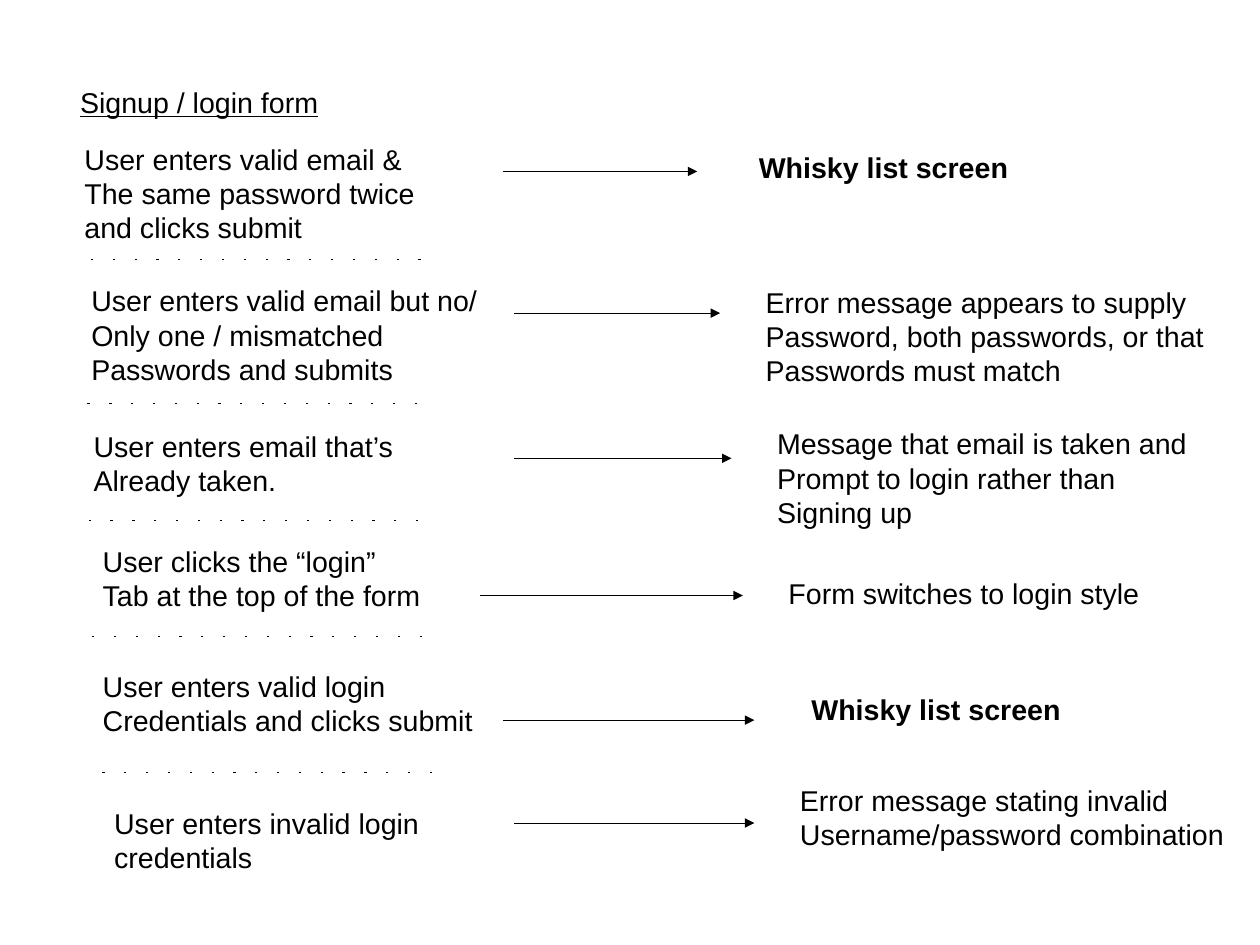
from lxml.etree import SubElement
from pptx import Presentation
from pptx.dml.color import RGBColor
from pptx.enum.shapes import MSO_CONNECTOR
from pptx.enum.text import MSO_ANCHOR, MSO_AUTO_SIZE, PP_ALIGN
from pptx.oxml.ns import qn
from pptx.util import Inches, Pt

COLORS = {"ink": "000000", "paper": "FFFFFF"}
FONT = "Arial"
CM_PER_INCH = 2.54
LINE_HEIGHT = 0.28
DIVIDER_LENGTH = 2.9

STEPS = [
    {"action": (0.64, 1.19, 3.12, ["User enters valid email &", "The same password twice", "and clicks submit"]),
     "arrow": (4.4, 6.1, 1.5),
     "result": (6.54, 1.26, 2.42, ["Whisky list screen"]),
     "bold": True, "divider": (0.8, 2.27)},
    {"action": (0.7, 2.43, 3.61, ["User enters valid email but no/", "Only one / mismatched", "Passwords and submits"]),
     "arrow": (4.5, 6.3, 2.74),
     "result": (6.6, 2.44, 4.07, ["Error message appears to supply", "Password, both passwords, or that",
                                  "Passwords must match"]),
     "divider": (0.77, 3.53)},
    {"action": (0.72, 3.7, 2.92, ["User enters email that’s", "Already taken."]),
     "arrow": (4.5, 6.4, 4.01),
     "result": (6.7, 3.68, 3.82, ["Message that email is taken and", "Prompt to login rather than", "Signing up"]),
     "divider": (0.78, 4.55)},
    {"action": (0.8, 4.71, 3.02, ["User clicks the “login”", "Tab at the top of the form"]),
     "arrow": (4.2, 6.5, 5.21),
     "result": (6.8, 4.99, 3.31, ["Form switches to login style"]),
     "divider": (0.81, 5.57)},
    {"action": (0.8, 5.8, 3.48, ["User enters valid login", "Credentials and clicks submit"]),
     "arrow": (4.4, 6.6, 6.3),
     "result": (7, 6, 2.42, ["Whisky list screen"]),
     "bold": True, "divider": (0.9, 6.76)},
    {"action": (0.9, 7, 2.91, ["User enters invalid login", "credentials"]),
     "arrow": (4.5, 6.6, 7.2),
     "result": (6.9, 6.8, 3.95, ["Error message stating invalid", "Username/password combination"])},
]


def write_text(box, lines, bold=False, underline=False):
    """Fill a shape with one left-aligned paragraph per line."""
    frame = box.text_frame
    frame.word_wrap = False
    frame.auto_size = MSO_AUTO_SIZE.SHAPE_TO_FIT_TEXT
    frame.vertical_anchor = MSO_ANCHOR.TOP
    for index, line in enumerate(lines):
        para = frame.add_paragraph() if index else frame.paragraphs[0]
        para.alignment = PP_ALIGN.LEFT
        span = para.add_run()
        span.text = line
        span.font.name = FONT
        span.font.size = Pt(18)
        span.font.bold = bold
        span.font.underline = underline
        span.font.color.rgb = RGBColor.from_string(COLORS["ink"])


def add_label(page, left, top, width, lines, bold=False):
    """Add a text box as tall as its lines."""
    height = 0.1 + LINE_HEIGHT * len(lines)
    box = page.shapes.add_textbox(Inches(left), Inches(top), Inches(width), Inches(height))
    write_text(box, lines, bold=bold)


def add_rule(page, start, end, level, arrow=False):
    """Add a horizontal hairline, either an arrow or a dotted divider."""
    rule = page.shapes.add_connector(
        MSO_CONNECTOR.STRAIGHT, Inches(start), Inches(level), Inches(end), Inches(level))
    rule.line.color.rgb = RGBColor.from_string(COLORS["ink"])
    outline = rule._element.spPr.find(qn("a:ln"))
    outline.set("w", "0")
    if arrow:
        SubElement(outline, qn("a:tailEnd"), type="triangle")
    else:
        dash = SubElement(outline, qn("a:custDash"))
        SubElement(dash, qn("a:ds"), d="100000", sp="1700000")
    SubElement(rule._element.spPr, qn("a:effectLst"))


def add_heading(page, left, top, width, height):
    """Place the underlined form name in the title placeholder."""
    title = page.shapes.title
    title.left, title.top = Inches(left), Inches(top)
    title.width, title.height = Inches(width), Inches(height)
    write_text(title, ["Signup / login form"], underline=True)


def add_step(page, step):
    """Add a user action, its arrow, its result and the divider below."""
    add_label(page, *step["action"])
    add_rule(page, *step["arrow"], arrow=True)
    add_label(page, *step["result"], bold=step.get("bold", False))
    if "divider" in step:
        left, level = step["divider"]
        add_rule(page, left, left + DIVIDER_LENGTH, level)


def main():
    """Build the form flow slide and save it."""
    deck = Presentation()
    deck.slide_width = Inches(28 / CM_PER_INCH)
    deck.slide_height = Inches(21 / CM_PER_INCH)
    page = deck.slides.add_slide(deck.slide_layouts[5])
    page.background.fill.solid()
    page.background.fill.fore_color.rgb = RGBColor.from_string(COLORS["paper"])
    add_heading(page, 0.6, 0.69, 2.32, 0.38)
    for step in STEPS:
        add_step(page, step)
    deck.save("out.pptx")


if __name__ == "__main__":
    main()
